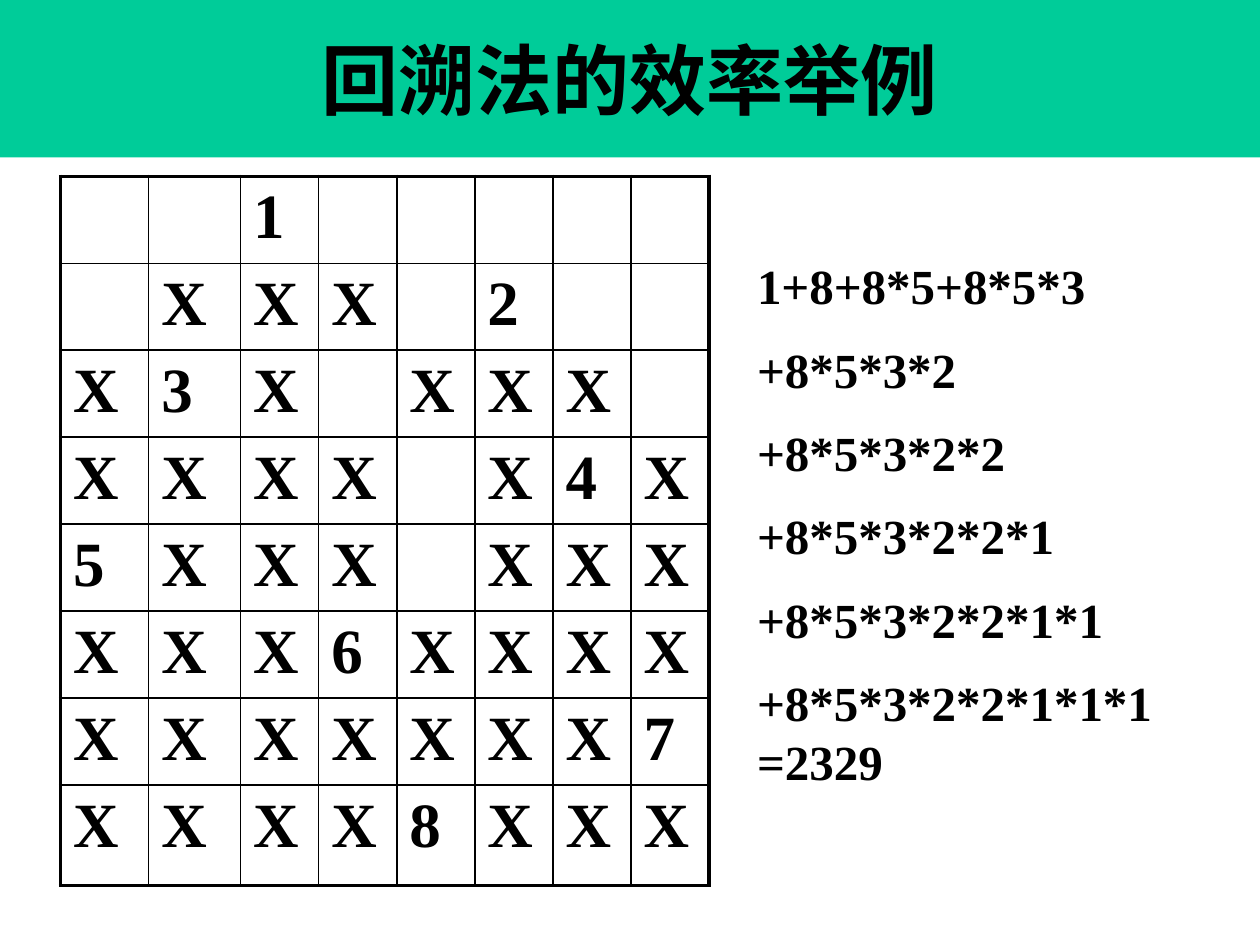
from dataclasses import dataclass

from lxml.etree import SubElement
from pptx import Presentation
from pptx.dml.color import RGBColor
from pptx.enum.text import MSO_ANCHOR as Anchor, PP_ALIGN as Align
from pptx.oxml.ns import qn
from pptx.util import Inches, Pt


@dataclass(frozen=True)
class Theme:
    font: str = "Times New Roman"
    ink: str = "000000"
    banner: str = "00CC99"
    title_size: int = 44
    board_size: int = 36
    sum_size: int = 28
    frame_line: float = 2.25
    grid_line: float = 1


class SlideBuilder:
    def __init__(self, deck, theme):
        self.theme = theme
        self.slide = deck.slides.add_slide(deck.slide_layouts[5])

    def style(self, paragraph, size):
        font = paragraph.font
        font.name = self.theme.font
        font.size = Pt(size)
        font.bold = True
        font.color.rgb = RGBColor.from_string(self.theme.ink)

    def title(self, wording, left, top, width, height):
        banner = self.slide.shapes.title
        banner.left, banner.top = Inches(left), Inches(top)
        banner.width, banner.height = Inches(width), Inches(height)
        banner.fill.solid()
        banner.fill.fore_color.rgb = RGBColor.from_string(self.theme.banner)
        banner.text_frame.text = wording
        banner.text_frame.vertical_anchor = Anchor.MIDDLE
        heading = banner.text_frame.paragraphs[0]
        heading.alignment = Align.CENTER
        self.style(heading, self.theme.title_size)

    def border(self, cell, side, points):
        line = SubElement(cell._tc.get_or_add_tcPr(), qn(f"a:{side}"), w=str(Pt(points)))
        fill = SubElement(line, qn("a:solidFill"))
        SubElement(fill, qn("a:srgbClr"), val=self.theme.ink)

    def board(self, rows, left, top, col_widths, row_heights):
        frame = self.slide.shapes.add_table(
            len(row_heights), len(col_widths), Inches(left), Inches(top),
            Inches(sum(col_widths)), Inches(sum(row_heights)))
        table = frame.table
        table.first_row = table.horz_banding = False
        for column, width in zip(table.columns, col_widths):
            column.width = Inches(width)
        for row, height in zip(table.rows, row_heights):
            row.height = Inches(height)

        last_row, last_col = len(row_heights) - 1, len(col_widths) - 1
        for r, marks in enumerate(rows):
            for c, mark in enumerate(marks):
                cell = table.cell(r, c)
                # Borders go before the fill in the cell properties
                on_frame = {"lnL": c == 0, "lnR": c == last_col,
                            "lnT": r == 0, "lnB": r == last_row}
                for side, outer in on_frame.items():
                    self.border(cell, side,
                                self.theme.frame_line if outer else self.theme.grid_line)
                cell.fill.background()
                cell.text = mark.replace(".", "")
                self.style(cell.text_frame.paragraphs[0], self.theme.board_size)

    def sum_lines(self, terms, left, top, width, height, indent):
        box = self.slide.shapes.add_textbox(
            Inches(left), Inches(top), Inches(width), Inches(height))
        frame = box.text_frame
        frame.word_wrap = True
        for i, term in enumerate(terms):
            line = frame.add_paragraph() if i else frame.paragraphs[0]
            line.text = term
            line._p.get_or_add_pPr().set("marL", str(Inches(indent)))
            if i:
                line.space_before = Pt(self.theme.sum_size / 2)
            self.style(line, self.theme.sum_size)


# Queens are numbered, Х is an attacked square, a dot is a free one
QUEENS = [
    "..1.....",
    ".ХХХ.2..",
    "Х3Х.ХХХ.",
    "ХХХХ.Х4Х",
    "5ХХХ.ХХХ",
    "ХХХ6ХХХХ",
    "ХХХХХХХ7",
    "ХХХХ8ХХХ",
]

# Node count, level by level
NODE_COUNT = [
    "1+8+8*5+8*5*3",
    "+8*5*3*2",
    "+8*5*3*2*2",
    "+8*5*3*2*2*1",
    "+8*5*3*2*2*1*1",
    "+8*5*3*2*2*1*1*1\v=2329",
]


def main():
    deck = Presentation()
    deck.slide_width, deck.slide_height = Inches(10), Inches(7.5)
    page = SlideBuilder(deck, Theme())
    page.title("回溯法的效率举例", 0, 0, 10, 1.25)
    page.board(QUEENS, 0.48, 1.4, [0.7, 0.73] + [0.62] * 6, [0.69] * 7 + [0.8])
    page.sum_lines(NODE_COUNT, 3.28, 1.98, 6.48, 4.58, indent=2.63)
    deck.save("out.pptx")


if __name__ == "__main__":
    main()
